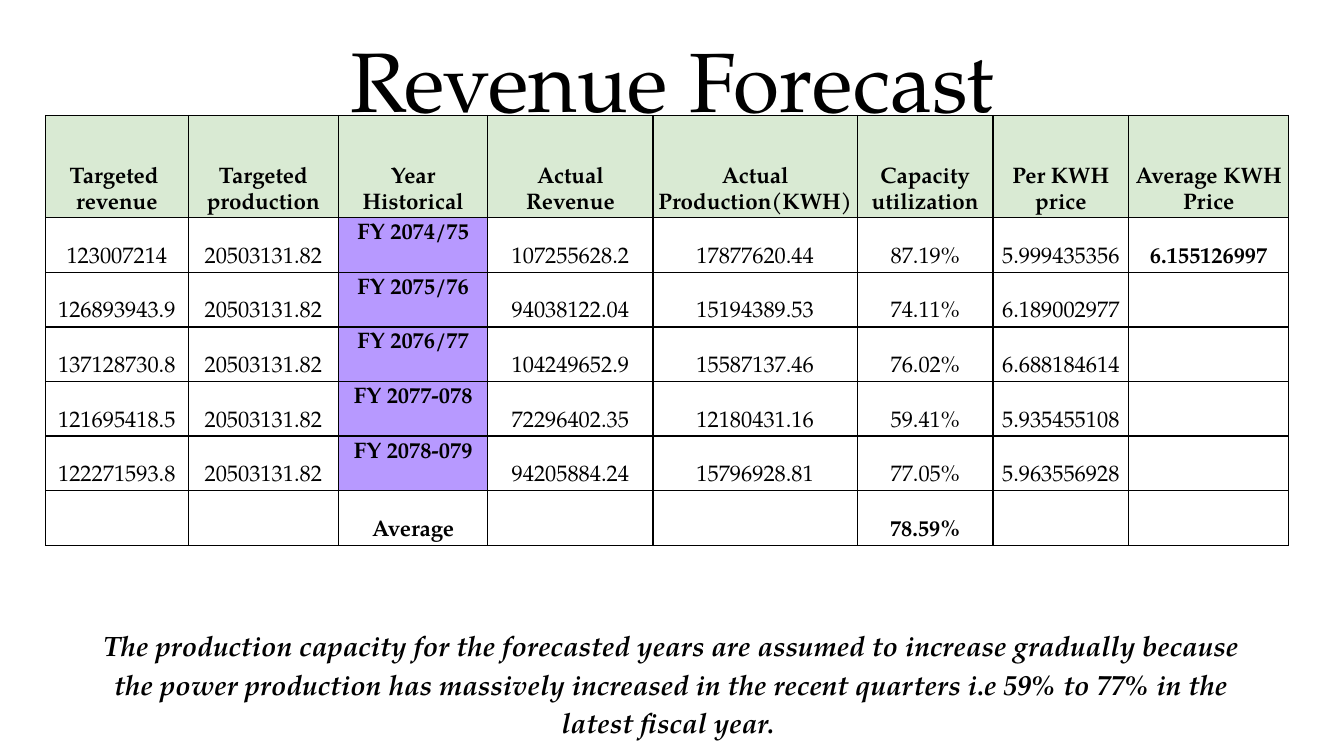
from copy import deepcopy

from pptx import Presentation
from pptx.dml.color import RGBColor
from pptx.enum.text import MSO_ANCHOR as Anchor, MSO_AUTO_SIZE as AutoSize, PP_ALIGN as Align
from pptx.oxml import parse_xml
from pptx.oxml.ns import nsdecls, qn
from pptx.util import Inches, Pt

FONT = "TeX Gyre Pagella"
COLORS = {"ink": "000000", "header": "D9EAD3", "year": "B799FF"}
SLIDE_WIDTH = Inches(10)
SLIDE_HEIGHT = SLIDE_WIDTH * 9 // 16
COLUMN_WIDTHS = [1.06, 1.12, 1.11, 1.23, 1.52, 1.01, 1.01, 1.19]
HEADER_HEIGHT, BODY_HEIGHT = 0.76, 2.44
YEAR_COLUMN, PRICE_COLUMN = 2, 7

HEADINGS = [
    "Targeted \nrevenue", "Targeted\nproduction", "Year\nHistorical", "Actual Revenue",
    "Actual Production(KWH)", "Capacity utilization", "Per KWH price", "Average KWH Price",
]
TARGET_PRODUCTION = "20503131.82"
YEARS = [
    ["123007214", TARGET_PRODUCTION, "FY 2074/75", "107255628.2", "17877620.44", "87.19%", "5.999435356", "6.155126997"],
    ["126893943.9", TARGET_PRODUCTION, "FY 2075/76", "94038122.04", "15194389.53", "74.11%", "6.189002977", ""],
    ["137128730.8", TARGET_PRODUCTION, "FY 2076/77", "104249652.9", "15587137.46", "76.02%", "6.688184614", ""],
    ["121695418.5", TARGET_PRODUCTION, "FY 2077-078", "72296402.35", "12180431.16", "59.41%", "5.935455108", ""],
    ["122271593.8", TARGET_PRODUCTION, "FY 2078-079", "94205884.24", "15796928.81", "77.05%", "5.963556928", ""],
]
AVERAGES = ["", "", "Average", "", "", "78.59%", "", ""]
ASSUMPTION = (
    "The production capacity for the forecasted years are assumed to increase gradually "
    "because the power production has massively increased in the recent quarters "
    "i.e 59% to 77% in the latest fiscal year. "
)


def apply_format(target, values):
    for name, value in values.items():
        setattr(target, name, value)


def write(frame, text, size, spacing=1.0, **font_values):
    paragraph = frame.paragraphs[0]
    paragraph.text = text
    apply_format(paragraph, {"alignment": Align.CENTER, "line_spacing": spacing})
    for run in paragraph.runs:
        apply_format(run.font, {"name": FONT, "size": Pt(size), **font_values})
        run.font.color.rgb = RGBColor.from_string(COLORS["ink"])
    for line_break in paragraph._p.findall(qn("a:br")):
        line_break.append(deepcopy(paragraph.runs[0]._r.rPr))


def add_text(slide, box, text, size, frame_values, **text_values):
    frame = slide.shapes.add_textbox(*map(Inches, box)).text_frame
    margins = dict.fromkeys(["margin_left", "margin_top", "margin_right", "margin_bottom"], Inches(0.1))
    apply_format(frame, {"word_wrap": True, **margins, **frame_values})
    write(frame, text, size, **text_values)


def add_title(slide, box):
    add_text(slide, box, "Revenue Forecast", 45,
             {"vertical_anchor": Anchor.BOTTOM, "auto_size": AutoSize.NONE})


def add_assumption(slide, box):
    add_text(slide, box, ASSUMPTION, 15, {"auto_size": AutoSize.SHAPE_TO_FIT_TEXT},
             spacing=1.15, bold=True, italic=True)


def add_borders(cell):
    properties = cell._tc.get_or_add_tcPr()
    for position, side in enumerate(["lnL", "lnR", "lnT", "lnB"]):
        properties.insert(position, parse_xml(
            f'<a:{side} {nsdecls("a")} w="{Pt(0.83)}"><a:solidFill>'
            f'<a:srgbClr val="{COLORS["ink"]}"/></a:solidFill></a:{side}>'))


def fill_cell(cell, color):
    if color:
        cell.fill.solid()
        cell.fill.fore_color.rgb = RGBColor.from_string(COLORS[color])
    else:
        cell.fill.background()


def add_revenue_table(slide, box):
    rows = [HEADINGS, *YEARS, AVERAGES]
    row_height = BODY_HEIGHT / (len(rows) - 1)
    table = slide.shapes.add_table(len(rows), len(HEADINGS), *map(Inches, box)).table
    apply_format(table, {"first_row": False, "horz_banding": False})
    for column, width in zip(table.columns, COLUMN_WIDTHS):
        column.width = Inches(width)
    for row_index, values in enumerate(rows):
        is_header, is_average = row_index == 0, row_index == len(rows) - 1
        table.rows[row_index].height = Inches(HEADER_HEIGHT if is_header else row_height)
        for column_index, value in enumerate(values):
            cell = table.cell(row_index, column_index)
            is_year = column_index == YEAR_COLUMN and not (is_header or is_average)
            apply_format(cell, {
                "margin_left": Inches(0.03), "margin_right": Inches(0.03),
                "margin_top": Inches(0.02), "margin_bottom": Inches(0.02),
                "vertical_anchor": Anchor.TOP if is_year else Anchor.BOTTOM,
            })
            if value:
                bold = is_header or is_average or column_index in (YEAR_COLUMN, PRICE_COLUMN)
                write(cell.text_frame, value, 12, spacing=1.15, bold=bold)
            fill_cell(cell, "header" if is_header else "year" if is_year else None)
            add_borders(cell)


def main():
    deck = Presentation()
    apply_format(deck, {"slide_width": SLIDE_WIDTH, "slide_height": SLIDE_HEIGHT})
    slide = deck.slides.add_slide(deck.slide_layouts[6])
    add_title(slide, (0.34, 0.37, 9.32, 0.69))
    add_revenue_table(slide, (0.34, 0.86, sum(COLUMN_WIDTHS), HEADER_HEIGHT + BODY_HEIGHT))
    add_assumption(slide, (0.53, 4.54, 8.93, 1.31))
    deck.save("out.pptx")


if __name__ == "__main__":
    main()
